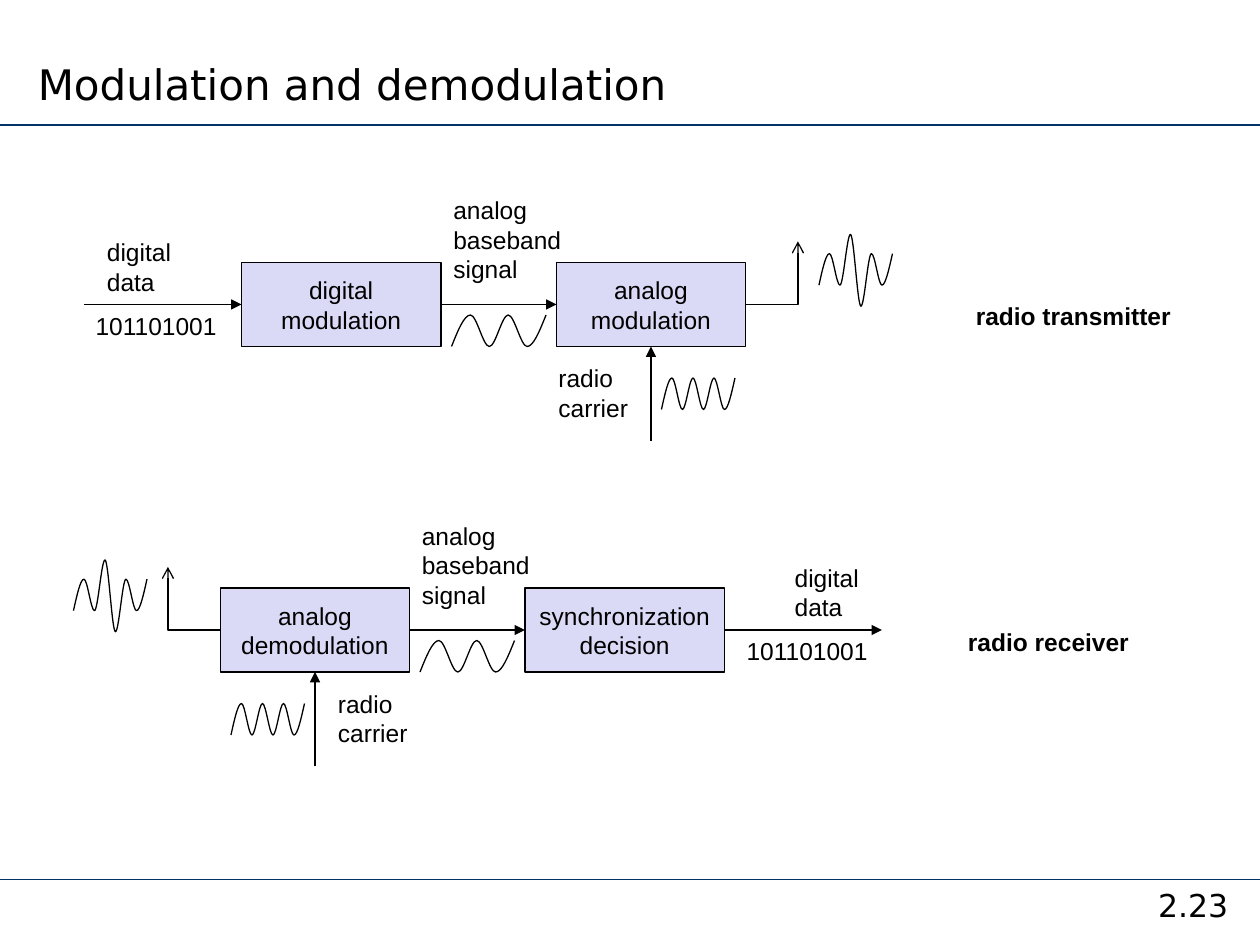
from dataclasses import dataclass

from lxml.etree import SubElement
from pptx import Presentation
from pptx.dml.color import RGBColor
from pptx.enum.shapes import MSO_CONNECTOR, MSO_SHAPE
from pptx.enum.text import MSO_ANCHOR, PP_ALIGN
from pptx.oxml.ns import qn
from pptx.util import Pt

BLACK, NAVY, LILAC = "000000", "003366", "DADAF6"
BLOCK_H = 48
WAVE_H = 18
BASEBAND = (WAVE_H, 0) * 3
CARRIER = (WAVE_H, 0) * 4
MODULATED = (31, 13, 31, 2, 43, 13, 31, 13)


@dataclass
class Block:
    x: float
    w: float
    lines: tuple[str, ...]

    @property
    def right(self) -> float:
        return self.x + self.w

    @property
    def center(self) -> float:
        return self.x + self.w / 2


@dataclass
class Chain:
    """One signal chain; axis is the y of its main arrows."""
    axis: float
    name: str
    name_x: float
    name_w: float
    first: Block
    second: Block
    analog: Block
    data_from: float
    data_to: float
    data_x: float
    bits_x: float
    carrier_x: float
    carrier_wave_x: float
    antenna_from: float
    antenna_x: float
    antenna_wave_x: float


def rgb(color: str) -> RGBColor:
    return RGBColor.from_string(color)


def write(sp, lines, size=14, font="Arial", bold=False, align=PP_ALIGN.LEFT,
          anchor=MSO_ANCHOR.TOP, wrap=False) -> None:
    tf = sp.text_frame
    tf.word_wrap = wrap
    tf.vertical_anchor = anchor
    for i, line in enumerate(lines):
        p = tf.add_paragraph() if i else tf.paragraphs[0]
        p.alignment = align
        r = p.add_run()
        r.text = line
        r.font.name, r.font.size, r.font.bold = font, Pt(size), bold
        r.font.color.rgb = rgb(BLACK)


def add_text(s, x: float, y: float, w: float, h: float, *lines: str, **style) -> None:
    write(s.shapes.add_textbox(Pt(x), Pt(y), Pt(w), Pt(h)), lines, **style)


def add_block(s, block: Block, axis: float) -> None:
    sp = s.shapes.add_shape(MSO_SHAPE.RECTANGLE, Pt(block.x), Pt(axis - BLOCK_H / 2),
                            Pt(block.w), Pt(BLOCK_H))
    sp.shadow.inherit = False
    sp.fill.solid()
    sp.fill.fore_color.rgb = rgb(LILAC)
    sp.line.color.rgb = rgb(BLACK)
    sp.line.width = Pt(0.75)
    write(sp, block.lines, align=PP_ALIGN.CENTER, anchor=MSO_ANCHOR.MIDDLE)


def add_line(s, x1: float, y1: float, x2: float, y2: float, color: str = BLACK,
             width: float = 0.75, arrow: str = "", bent: bool = False) -> None:
    kind = MSO_CONNECTOR.ELBOW if bent else MSO_CONNECTOR.STRAIGHT
    line = s.shapes.add_connector(kind, Pt(x1), Pt(y1), Pt(x2), Pt(y2))
    line.line.color.rgb = rgb(color)
    line.line.width = Pt(width)
    sp_pr = line._element.spPr
    if bent:  # a single corner
        sp_pr.find(qn("a:prstGeom")).set("prst", "bentConnector2")
    if arrow:
        SubElement(sp_pr.find(qn("a:ln")), qn("a:tailEnd"), type=arrow)
    SubElement(sp_pr, qn("a:effectLst"))


def add_wave(s, x: float, y: float, w: float, heights: tuple[int, ...]) -> None:
    """Draw a curve through evenly spaced knots, level at each inner knot."""
    step = w / (len(heights) - 1)
    knots = [(Pt(x + i * step), Pt(y + h)) for i, h in enumerate(heights)]
    builder = s.shapes.build_freeform(*knots[0])
    builder.add_line_segments(knots[1:], close=False)
    sp = builder.convert_to_shape()
    sp.shadow.inherit = False
    sp.fill.background()
    sp.line.color.rgb = rgb(BLACK)
    sp.line.width = Pt(0.75)

    outline = next(sp._element.iter(qn("a:path")))
    points = [(int(pt.get("x")), int(pt.get("y"))) for pt in outline.iter(qn("a:pt"))]
    for segment in outline.findall(qn("a:lnTo")):
        outline.remove(segment)
    last = len(points) - 2
    for i, ((x0, y0), (x1, y1)) in enumerate(zip(points, points[1:])):
        middle = (y0 + y1) // 2
        dx = (x1 - x0) // 3
        curve = SubElement(outline, qn("a:cubicBezTo"))
        for px, py in ((x0 + dx, middle if i == 0 else y0),
                       (x1 - dx, middle if i == last else y1), (x1, y1)):
            SubElement(curve, qn("a:pt"), x=str(px), y=str(py))


def add_chain(s, c: Chain) -> None:
    y, gap_x, mid = c.axis, c.first.right, c.analog.center
    add_block(s, c.first, y)
    add_block(s, c.second, y)
    add_line(s, c.data_from, y, c.data_to, y, arrow="triangle")
    add_line(s, gap_x, y, c.second.x, y, arrow="triangle")
    add_line(s, mid, y + 78, mid, y + BLOCK_H / 2, arrow="triangle")
    add_line(s, c.antenna_from, y, c.antenna_x, y - 36, arrow="arrow", bent=True)
    add_text(s, c.data_x, y - 42, 51, 41, "digital", "data")
    add_text(s, c.bits_x, y, 84, 24.5, "101101001")
    add_text(s, gap_x, y - 66, 78, 57.5, "analog", "baseband", "signal")
    add_text(s, c.carrier_x, y + 30, 54, 41, "radio", "carrier")
    add_text(s, c.name_x, y - 5.5, c.name_w, 24.5, c.name, bold=True)
    add_wave(s, gap_x + 6, y + 6, 54, BASEBAND)
    add_wave(s, c.carrier_wave_x, y + 42, 42, CARRIER)
    add_wave(s, c.antenna_wave_x, y - 42, 42, MODULATED)


def main() -> None:
    prs = Presentation()
    prs.slide_width, prs.slide_height = Pt(720), Pt(540)
    s = prs.slides.add_slide(prs.slide_layouts[6])

    for y in (71.5, 502.6):
        add_line(s, 0, y, 720, y, color=NAVY, width=1)
    add_text(s, 643.5, 502.5, 76.5, 32, "2.23", size=18, font="DejaVu Sans",
             align=PP_ALIGN.CENTER, wrap=True)
    add_text(s, 14.5, 0, 476, 65.5, "Modulation and demodulation", size=24,
             font="DejaVu Sans", anchor=MSO_ANCHOR.BOTTOM, wrap=True)

    modulator = Block(138, 114, ("digital", "modulation"))
    mixer = Block(318, 108, ("analog", "modulation"))
    add_chain(s, Chain(
        axis=174, name="radio transmitter", name_x=550.5, name_w=126,
        first=modulator, second=mixer, analog=mixer,
        data_from=48, data_to=modulator.x, data_x=54, bits_x=47.5,
        carrier_x=312, carrier_wave_x=378,
        antenna_from=mixer.right, antenna_x=456, antenna_wave_x=468))

    demodulator = Block(126, 108, ("analog", "demodulation"))
    decision = Block(300, 114, ("synchronization", "decision"))
    add_chain(s, Chain(
        axis=360, name="radio receiver", name_x=546, name_w=106.5,
        first=demodulator, second=decision, analog=demodulator,
        data_from=decision.right, data_to=504, data_x=447, bits_x=419.5,
        carrier_x=186, carrier_wave_x=132,
        antenna_from=demodulator.x, antenna_x=96, antenna_wave_x=42))

    prs.save("out.pptx")


if __name__ == "__main__":
    main()
